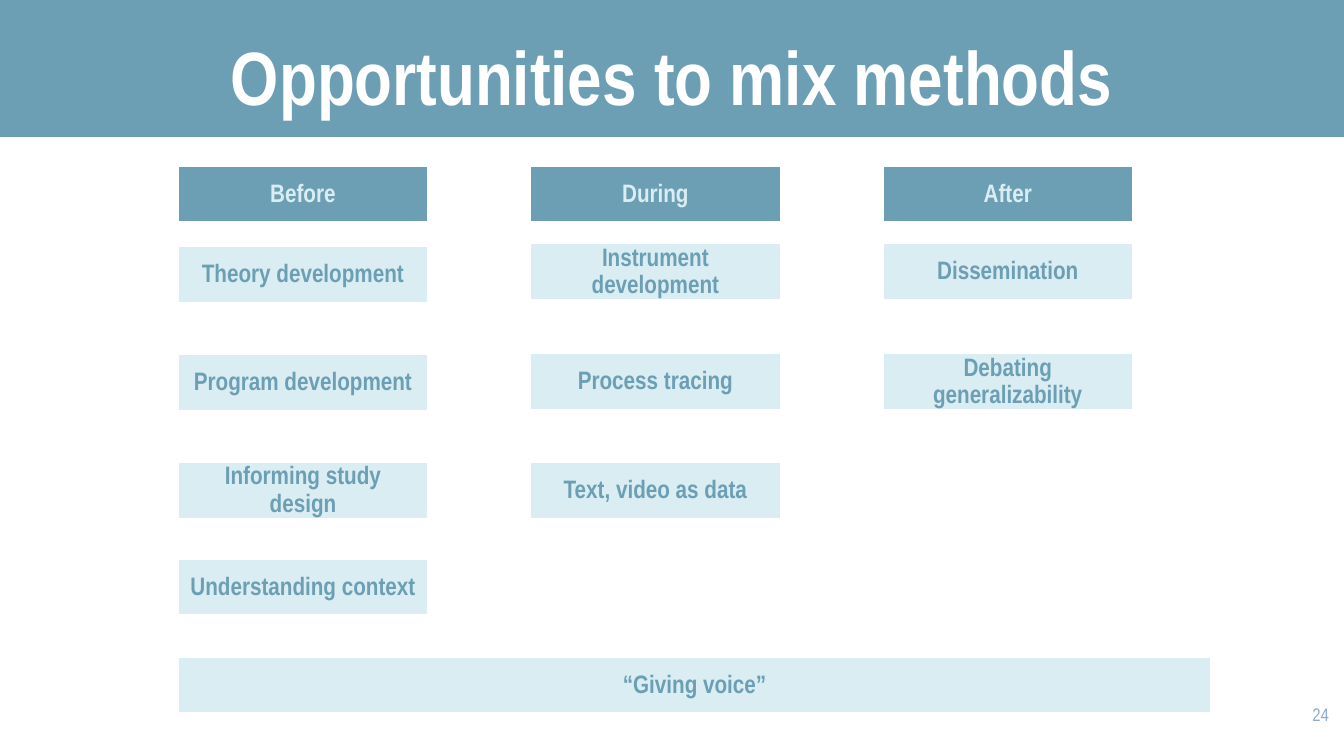
"""Build the slide on opportunities to mix methods."""
import pptx
import pptx.util
import pptx.dml.color
import pptx.enum.shapes
import pptx.enum.text

Inches, Pt = pptx.util.Inches, pptx.util.Pt
RGBColor = pptx.dml.color.RGBColor
PP_ALIGN = pptx.enum.text.PP_ALIGN
MSO_ANCHOR = pptx.enum.text.MSO_ANCHOR

TEAL = RGBColor(0x6C, 0x9F, 0xB4)
PALE = RGBColor(0xD9, 0xED, 0xF3)
WHITE = RGBColor(0xFF, 0xFF, 0xFF)
NUMBER_BLUE = RGBColor(0x8B, 0xAC, 0xCC)
LEFT, COLUMN_STEP = 1.76, 3.495
BOX_WIDTH, BOX_HEIGHT, HEADER_TOP = 2.49, 0.57, 1.64
COLUMNS = [
    ("Before", [(2.44, "Theory development"), (3.51, "Program development"),
                (4.58, "Informing study design"), (5.54, "Understanding context")]),
    ("During", [(2.41, "Instrument development"), (3.5, "Process tracing"),
                (4.58, "Text, video as data")]),
    ("After", [(2.41, "Dissemination"), (3.5, "Debating generalizability")]),
]


def set_text(tf, text, size, color, bold, align):
    tf.word_wrap = True
    tf.auto_size = pptx.enum.text.MSO_AUTO_SIZE.NONE
    p = tf.paragraphs[0]
    p.text = text
    p.alignment = align
    p.font.name = "Arial Narrow"
    p.font.size = Pt(size)
    p.font.bold = bold
    p.font.color.rgb = color
    return p


def add_box(s, x, y, w, text, fill, color):
    builder = s.shapes.build_freeform(Inches(x), Inches(y))
    right, bottom = Inches(x + w), Inches(y + BOX_HEIGHT)
    builder.add_line_segments([(right, Inches(y)), (right, bottom), (Inches(x), bottom)])
    sp = builder.convert_to_shape()
    sp.shadow.inherit = False
    sp.fill.solid()
    sp.fill.fore_color.rgb = fill
    sp.line.color.rgb = WHITE
    sp.line.width = Pt(2)
    tf = sp.text_frame
    tf.margin_left = tf.margin_right = tf.margin_top = tf.margin_bottom = Inches(0.12)
    tf.vertical_anchor = MSO_ANCHOR.MIDDLE
    p = set_text(tf, text, 18, color, True, PP_ALIGN.CENTER)
    p.line_spacing = 0.9


prs = pptx.Presentation()
prs.slide_width, prs.slide_height = Inches(13.33), Inches(7.5)
s = prs.slides.add_slide(prs.slide_layouts[5])

band = s.shapes.add_shape(pptx.enum.shapes.MSO_SHAPE.RECTANGLE,
                          0, 0, prs.slide_width, Inches(1.36))
band.shadow.inherit = False
band.fill.solid()
band.fill.fore_color.rgb = TEAL
band.line.fill.background()

title = s.shapes.title
title.left, title.top = Inches(0), Inches(-0.11)
title.width, title.height = prs.slide_width, Inches(1.36)
title.text_frame.vertical_anchor = MSO_ANCHOR.BOTTOM
set_text(title.text_frame, "Opportunities to mix methods", 54, WHITE, True, PP_ALIGN.CENTER)
band._element.addnext(title._element)

for i, (header, items) in enumerate(COLUMNS):
    x = LEFT + i * COLUMN_STEP
    add_box(s, x, HEADER_TOP, BOX_WIDTH, header, TEAL, PALE)
    for y, text in items:
        add_box(s, x, y, BOX_WIDTH, text, PALE, TEAL)
add_box(s, LEFT, 6.51, 10.26, "“Giving voice”", PALE, TEAL)

number = s.shapes.add_textbox(Inches(12.48), Inches(6.93), Inches(0.8), Inches(0.57))
set_text(number.text_frame, "24", 13, NUMBER_BLUE, False, PP_ALIGN.RIGHT)

prs.save("out.pptx")
